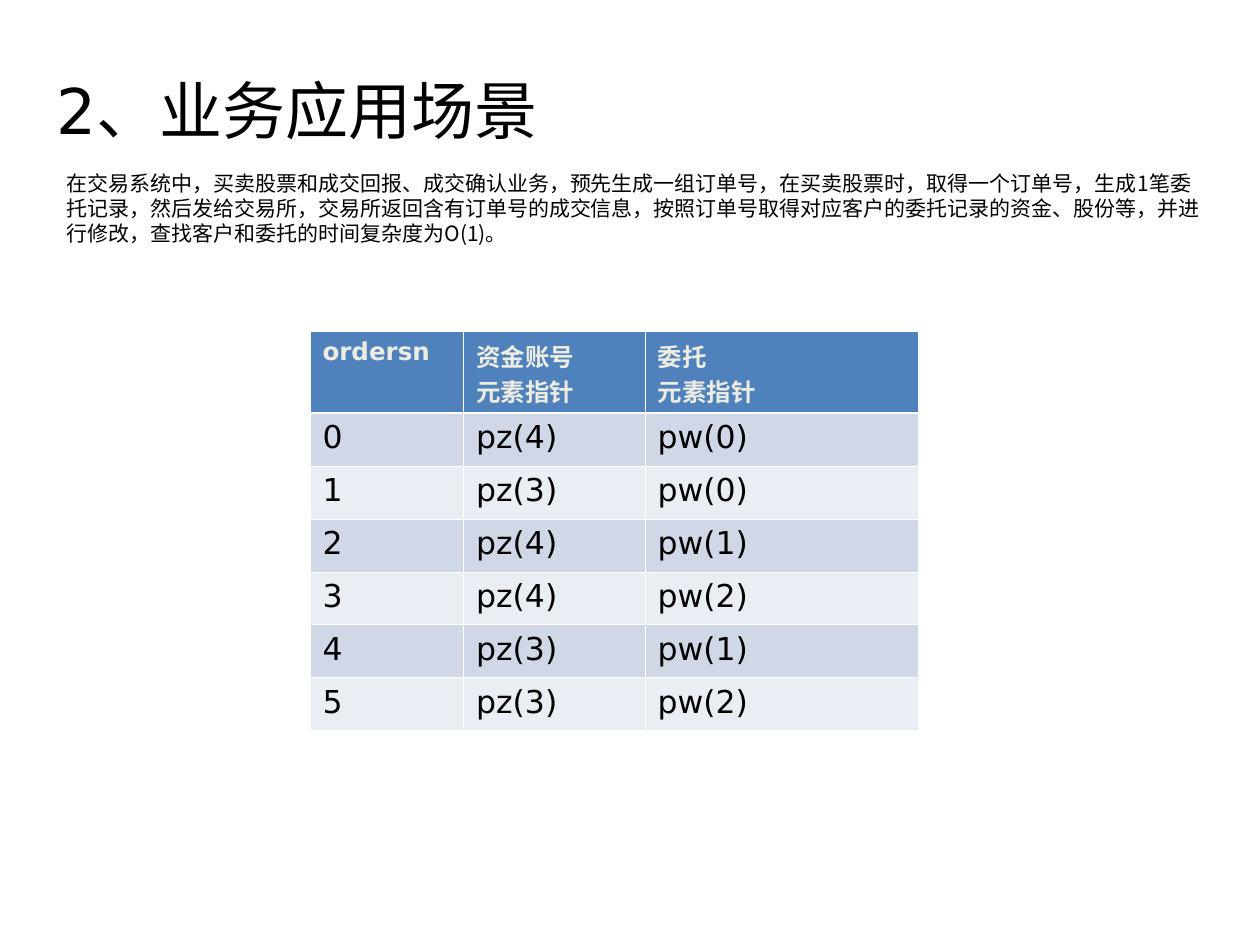
from lxml.etree import SubElement
from pptx import Presentation
from pptx.dml.color import RGBColor as RGB
from pptx.enum.text import MSO_ANCHOR as Anchor
from pptx.oxml import parse_xml
from pptx.oxml.ns import nsdecls, qn
from pptx.util import Inches, Pt

COLORS = {"text": "000000", "header": "4F81BD", "header_text": "EEECE1",
          "dark_band": "D0D8E8", "light_band": "E9EDF4", "border": "FFFFFF"}
LATIN, CJK = "DejaVu Sans", "Noto Sans CJK SC"

prs = Presentation()
prs.slide_width, prs.slide_height = Inches(10), Inches(7.5)
COL, ROW = prs.slide_width / 100, prs.slide_height / 75  # 100 by 75 grid
slide = prs.slides.add_slide(prs.slide_layouts[6])


def write(frame, text, size, color="text", font=LATIN, bold=False, spacing=None):
    """Fill a text frame, one paragraph per line of text."""
    frame.word_wrap = True
    for i, line in enumerate(text.split("\n")):
        paragraph = frame.add_paragraph() if i else frame.paragraphs[0]
        paragraph.line_spacing = spacing
        run = paragraph.add_run()
        run.text = line
        run.font.size, run.font.bold = Pt(size), bold
        run.font.color.rgb = RGB.from_string(COLORS[color])
        run.font.name = font
        SubElement(run.font._element, qn("a:ea"), typeface=CJK)


def set_borders(cell, **widths):
    """Draw the sides L, R, T and B of a cell, with widths in points."""
    for i, (side, width) in enumerate(widths.items()):
        cell._tc.get_or_add_tcPr().insert(i, parse_xml(
            f'<a:ln{side} {nsdecls("a")} w="{Pt(width)}"><a:solidFill>'
            f'<a:srgbClr val="{COLORS["border"]}"/></a:solidFill></a:ln{side}>'))


title = slide.shapes.add_textbox(
    int(3.5 * COL), int(4.4 * ROW), int(92.9 * COL), int(8.6 * ROW)).text_frame
title.vertical_anchor = Anchor.MIDDLE
write(title, "2、业务应用场景", 36)

scenario = slide.shapes.add_textbox(
    int(4.3 * COL), int(13.1 * ROW), int(92.1 * COL), int(11 * ROW)).text_frame
write(scenario,
      "在交易系统中，买卖股票和成交回报、成交确认业务，预先生成一组订单号，"
      "在买卖股票时，取得一个订单号，生成1笔委托记录，然后发给交易所，"
      "交易所返回含有订单号的成交信息，按照订单号取得对应客户的委托记录的资金、股份等，"
      "并进行修改，查找客户和委托的时间复杂度为O(1)。",
      12, font=CJK, spacing=Pt(14.3))

orders = [("ordersn", "资金账号\n元素指针", "委托\n元素指针"),
          ("0", "pz(4)", "pw(0)"),
          ("1", "pz(3)", "pw(0)"),
          ("2", "pz(4)", "pw(1)"),
          ("3", "pz(4)", "pw(2)"),
          ("4", "pz(3)", "pw(1)"),
          ("5", "pz(3)", "pw(2)")]
column_spans = [12.2, 14.4, 21.7]
row_spans = [6.5] + [4.2] * 6
order_table = slide.shapes.add_table(
    len(orders), len(column_spans), int(24.6 * COL), int(26.3 * ROW),
    int(sum(column_spans) * COL), int(sum(row_spans) * ROW)).table

for column, span in zip(order_table.columns, column_spans):
    column.width = int(span * COL)
for r, (values, span) in enumerate(zip(orders, row_spans)):
    order_table.rows[r].height = int(span * ROW)
    is_header = r == 0
    band = "header" if is_header else "dark_band" if r % 2 else "light_band"
    for c, value in enumerate(values):
        cell = order_table.cell(r, c)
        cell.fill.solid()
        cell.fill.fore_color.rgb = RGB.from_string(COLORS[band])
        set_borders(cell, L=0.45, R=0.45, T=1.47 if r == 1 else 0.45,
                    B=1.47 if is_header else 0.45)
        write(cell.text_frame, value, 14 if is_header else 18,
              color="header_text" if is_header else "text", bold=is_header)

prs.save("out.pptx")
